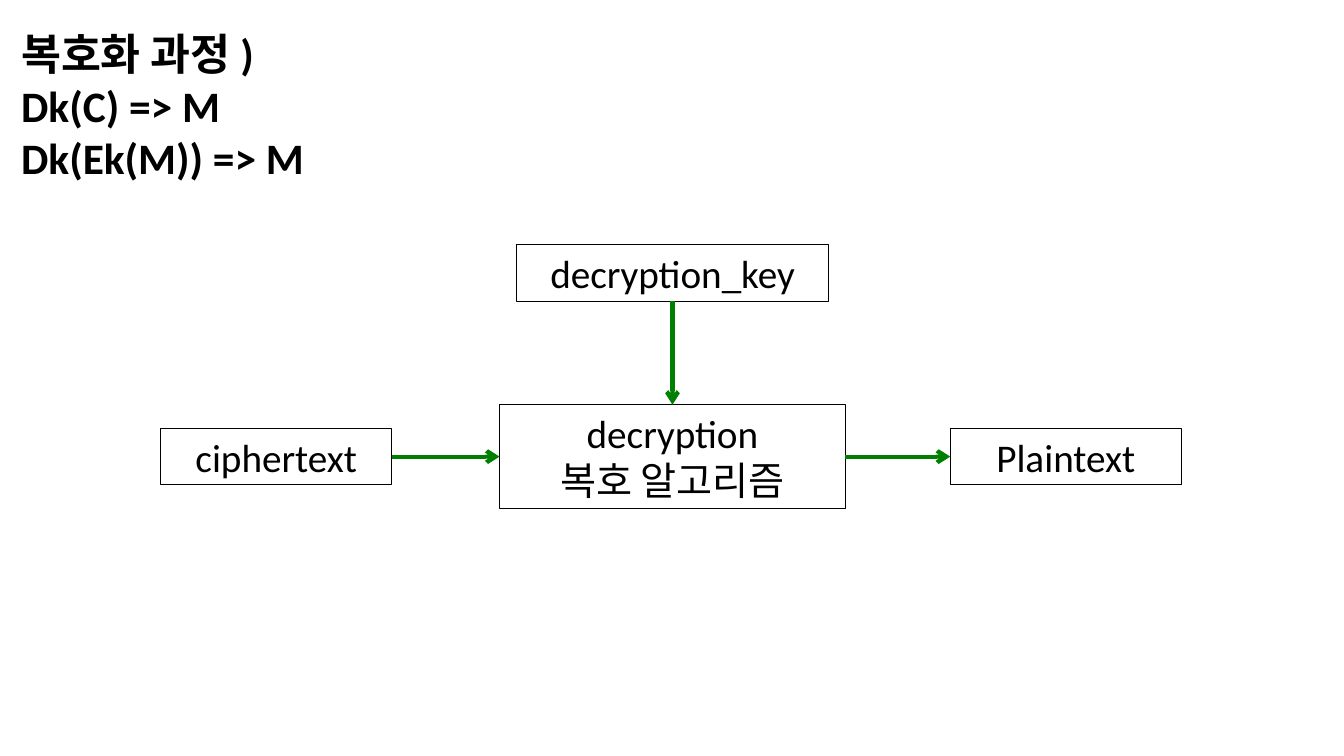
import pptx
import pptx.util
import pptx.dml.color
import pptx.enum.shapes
import pptx.enum.text
import pptx.oxml
import pptx.oxml.ns

Inches = pptx.util.Inches
Pt = pptx.util.Pt
RGBColor = pptx.dml.color.RGBColor
PP_ALIGN = pptx.enum.text.PP_ALIGN
MSO_ANCHOR = pptx.enum.text.MSO_ANCHOR

BLACK = RGBColor(0x00, 0x00, 0x00)
GREEN = RGBColor(0x00, 0x80, 0x00)
TOP, LEFT, BOTTOM, RIGHT = range(4)
NAMESPACE = 'xmlns:a="http://schemas.openxmlformats.org/drawingml/2006/main"'


class DiagramSlide:
    """Holds the style and the current slide."""

    font_name = "Calibri"
    title_size = Pt(31)
    box_size = Pt(28)

    def __init__(self, page):
        self.page = page

    def set_text(self, shape, text, size, align, anchor, bold=False):
        frame = shape.text_frame
        frame.text = text
        frame.word_wrap = True
        frame.auto_size = pptx.enum.text.MSO_AUTO_SIZE.NONE
        frame.vertical_anchor = anchor
        for para in frame.paragraphs:
            para.alignment = align
            for span in para.runs:
                span.font.name = self.font_name
                span.font.size = size
                span.font.bold = bold
                span.font.color.rgb = BLACK

    def title(self, text, left, top, width, height):
        title = self.page.shapes.title
        title.left, title.top = Inches(left), Inches(top)
        title.width, title.height = Inches(width), Inches(height)
        self.set_text(title, text, self.title_size, PP_ALIGN.LEFT, MSO_ANCHOR.TOP, bold=True)

    def box(self, text, center_x, center_y, width, height=0.56):
        box = self.page.shapes.add_shape(
            pptx.enum.shapes.MSO_SHAPE.RECTANGLE,
            Inches(center_x - width / 2), Inches(center_y - height / 2),
            Inches(width), Inches(height))
        box.shadow.inherit = False
        box.fill.background()
        box.line.color.rgb = BLACK
        box.line.width = Pt(0.75)
        self.set_text(box, text, self.box_size, PP_ALIGN.CENTER, MSO_ANCHOR.MIDDLE)
        return box

    def arrow(self, source, source_side, target, target_side):
        arrow = self.page.shapes.add_connector(
            pptx.enum.shapes.MSO_CONNECTOR.STRAIGHT, 0, 0, 0, 0)
        arrow.begin_connect(source, source_side)
        arrow.end_connect(target, target_side)
        arrow.line.color.rgb = GREEN
        arrow.line.width = Pt(3)
        # Arrowhead at the target, no theme shadow
        properties = arrow._element.spPr
        properties.find(pptx.oxml.ns.qn("a:ln")).append(
            pptx.oxml.parse_xml(f'<a:tailEnd {NAMESPACE} type="arrow"/>'))
        properties.append(pptx.oxml.parse_xml(f"<a:effectLst {NAMESPACE}/>"))


def main():
    deck = pptx.Presentation()
    deck.slide_width, deck.slide_height = Inches(13.33), Inches(7.5)
    slide = DiagramSlide(deck.slides.add_slide(deck.slide_layouts[5]))

    # Heading with the formulas
    slide.title("복호화 과정 )\vDk(C) => M\vDk(Ek(M)) => M", 0.11, 0.22, 3.41, 1.65)

    # Boxes, centred on one column and one row
    column, row = 6.67, 4.53
    algorithm = slide.box("decryption\n복호 알고리즘", column, row, 3.43, 1.03)
    ciphertext = slide.box("ciphertext", 2.74, row, 2.29)
    plaintext = slide.box("Plaintext", 10.57, row, 2.29)
    key = slide.box("decryption_key", column, 2.71, 3.09)

    # Flow
    slide.arrow(ciphertext, RIGHT, algorithm, LEFT)
    slide.arrow(algorithm, RIGHT, plaintext, LEFT)
    slide.arrow(key, BOTTOM, algorithm, TOP)

    deck.save("out.pptx")


if __name__ == "__main__":
    main()
